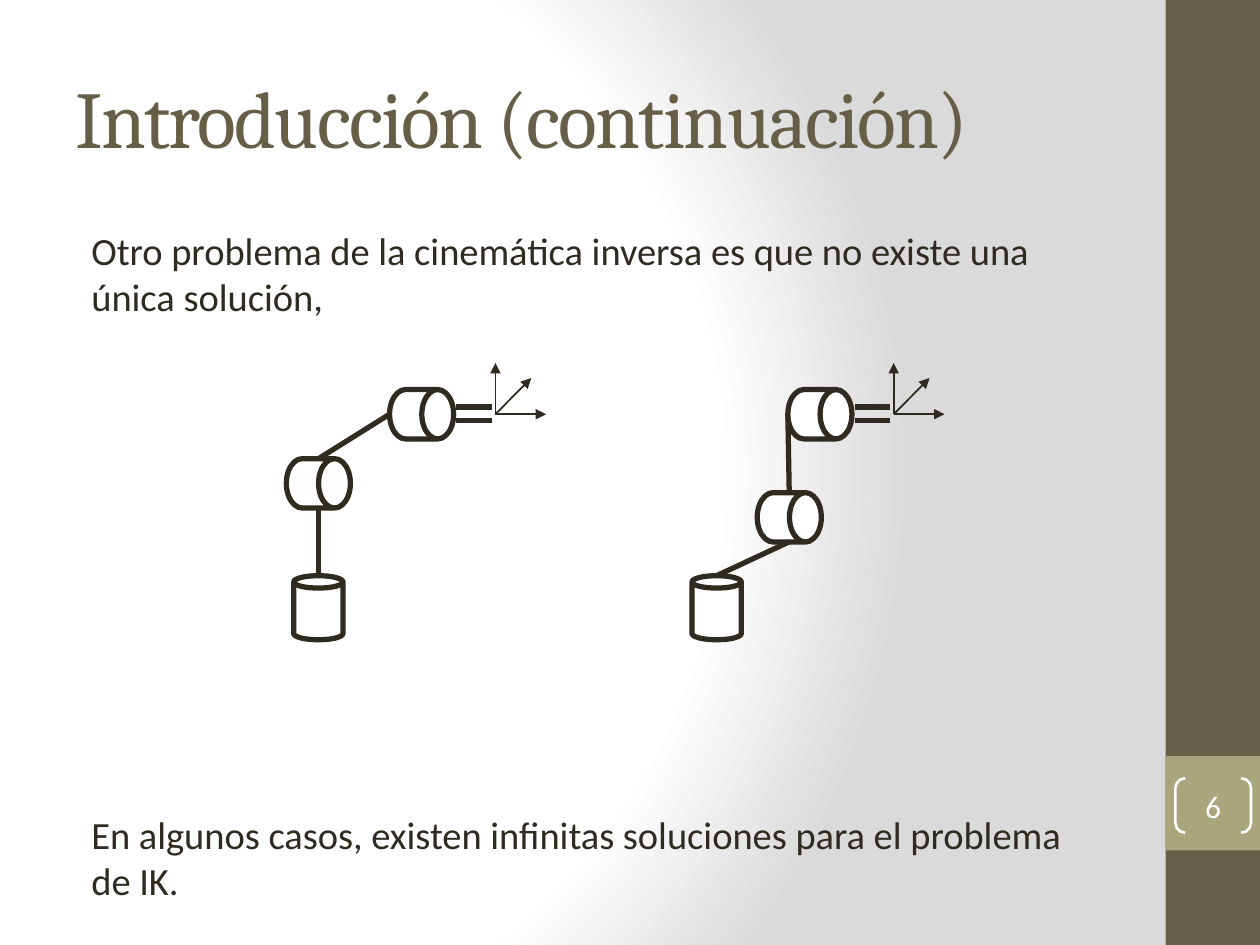
from lxml import etree
from pptx import Presentation
from pptx import util as u
from pptx.dml.color import RGBColor
from pptx.enum import shapes, text
from pptx.oxml import ns, parse_xml

Pt = u.Pt
SHAPE = shapes.MSO_SHAPE
INK, AXIS, BROWN, OLIVE, WHITE = "2F2B20", "2E2A1F", "675E47", "A9A57C", "FFFFFF"


def color(value):
    return RGBColor.from_string(value)


class SlideStyle:
    """Holds the style and the slide being drawn."""

    heading_font, body_font = "Cambria", "Calibri"

    def __init__(self, deck):
        self.page = deck.slides.add_slide(deck.slide_layouts[1])
        self.target = self.page.shapes

    def background(self, stops):
        fill = self.page.background.fill
        fill.gradient()
        gradient = self.page.background._cSld.find(".//" + ns.qn("a:gradFill"))
        marks = "".join(
            f'<a:gs pos="{place * 1000}"><a:srgbClr val="{value}"/></a:gs>'
            for place, value in stops)
        gradient.getparent().replace(gradient, parse_xml(
            f'<a:gradFill {ns.nsdecls("a")} rotWithShape="1"><a:gsLst>{marks}</a:gsLst>'
            '<a:path path="circle"><a:fillToRect l="20000" t="50000" '
            'r="100000" b="50000"/></a:path></a:gradFill>'))

    def place(self, box, left, top, width, height):
        box.left, box.top, box.width, box.height = map(Pt, (left, top, width, height))

    def add_span(self, para, words, size, font, ink):
        span = para.add_run()
        span.text = words
        span.font.size, span.font.name = Pt(size), font
        span.font.color.rgb = color(ink)
        return span

    def title(self, words, *area):
        box = self.page.shapes.title
        self.place(box, *area)
        frame = box.text_frame
        frame.auto_size = text.MSO_AUTO_SIZE.NONE
        frame.vertical_anchor = text.MSO_ANCHOR.MIDDLE
        para = frame.paragraphs[0]
        para.alignment = text.PP_ALIGN.LEFT
        span = self.add_span(para, words, 46, self.heading_font, BROWN)
        span.font._element.set("spc", "-100")

    def body(self, entries, *area):
        box = self.page.placeholders[1]
        self.place(box, *area)
        frame = box.text_frame
        frame.auto_size = text.MSO_AUTO_SIZE.NONE
        for index, (words, gap) in enumerate(entries):
            para = frame.add_paragraph() if index else frame.paragraphs[0]
            settings = para._p.get_or_add_pPr()
            settings.set("marL", str(Pt(9)))
            settings.set("indent", "0")
            etree.SubElement(settings, ns.qn("a:buNone"))
            para.space_before = Pt(gap)
            self.add_span(para, words, 22, self.body_font, INK)

    def shape(self, kind, area, fill=None, line=None, weight=3, adjust=None, turn=0):
        box = self.target.add_shape(kind, *map(Pt, area))
        box.shadow.inherit = False
        box.rotation = turn
        if adjust is not None:
            box.adjustments[0] = adjust
        if fill:
            box.fill.solid()
            box.fill.fore_color.rgb = color(fill)
        else:
            box.fill.background()
        if line:
            box.line.color.rgb, box.line.width = color(line), Pt(weight)
        else:
            box.line.fill.background()
        return box

    def page_number(self, words, area):
        box = self.shape(SHAPE.DOUBLE_BRACKET, area, line=WHITE, weight=1.5, adjust=0.18)
        frame = box.text_frame
        frame.margin_left = frame.margin_right = 0
        frame.margin_top = frame.margin_bottom = 0
        frame.vertical_anchor = text.MSO_ANCHOR.MIDDLE
        para = frame.paragraphs[0]
        para.alignment = text.PP_ALIGN.CENTER
        self.add_span(para, words, 18, self.body_font, WHITE)

    def line(self, start, end, ink=INK, weight=3, arrow=False):
        link = self.target.add_connector(
            shapes.MSO_CONNECTOR.STRAIGHT, *map(Pt, (*start, *end)))
        link.line.color.rgb, link.line.width = color(ink), Pt(weight)
        if arrow:
            tip = etree.SubElement(link.line._get_or_add_ln(), ns.qn("a:tailEnd"))
            tip.set("type", "triangle")
        etree.SubElement(link._element.spPr, ns.qn("a:effectLst"))

    def joint(self, x, y, turned=True):
        """A cylinder centred on x, y; a turned one lies on its side."""
        width, height = 28.2, 36.6
        self.shape(SHAPE.CAN, (x - width / 2, y - height / 2, width, height), WHITE, INK,
                   adjust=0.645 if turned else None, turn=90 if turned else 0)

    def arm(self, x, elbow_shift, elbow_y):
        """A robot arm whose base is centred on x; only its elbow varies."""
        self.target = self.page.shapes.add_group_shape().shapes
        base_top, wrist_y, radius = 329, 236.7, 14
        elbow_x = x + elbow_shift
        # Base, elbow and links
        self.joint(x, base_top + 18.3, turned=False)
        self.joint(elbow_x, elbow_y)
        self.line((x, base_top), (elbow_x, elbow_y + radius))
        self.line((elbow_x, elbow_y - radius), (x + 40.7, wrist_y))
        # Gripper fingers and wrist
        for y in (wrist_y - 4.1, wrist_y + 3.8):
            self.line((x + 78.8, y), (x + 99, y))
        self.joint(x + 59, wrist_y)
        # Axes of the gripper
        origin = x + 101.2
        for across, up in ((0, 29.3), (29, 0), (20.5, 20.7)):
            self.line((origin, wrist_y), (origin + across, wrist_y - up), AXIS, 1, True)
        self.target = self.page.shapes


def main():
    deck = Presentation()
    deck.slide_width, deck.slide_height = Pt(720), Pt(540)
    style = SlideStyle(deck)

    # Backdrop and side band
    style.background([(0, WHITE), (75, WHITE), (100, "DADADA")])
    style.shape(SHAPE.RECTANGLE, (666, 0, 54, 540), BROWN)
    style.shape(SHAPE.RECTANGLE, (666, 432, 54, 54), OLIVE)
    style.page_number("6", (671.7, 444.7, 43.2, 31.2))

    # Title and text, with room for the drawing between the two paragraphs
    style.title("Introducción (continuación)", 36, 21.6, 600, 90)
    style.body([
        ("Otro problema de la cinemática inversa es que no existe una única solución,", 0),
        ("En algunos casos, existen infinitas soluciones para el problema de IK.", 281),
    ], 36, 126, 600, 388)

    # Two arms that reach the same position
    style.arm(181.9, 0, 276.2)
    style.arm(409.5, 41.5, 295.6)

    deck.save("out.pptx")


if __name__ == "__main__":
    main()
